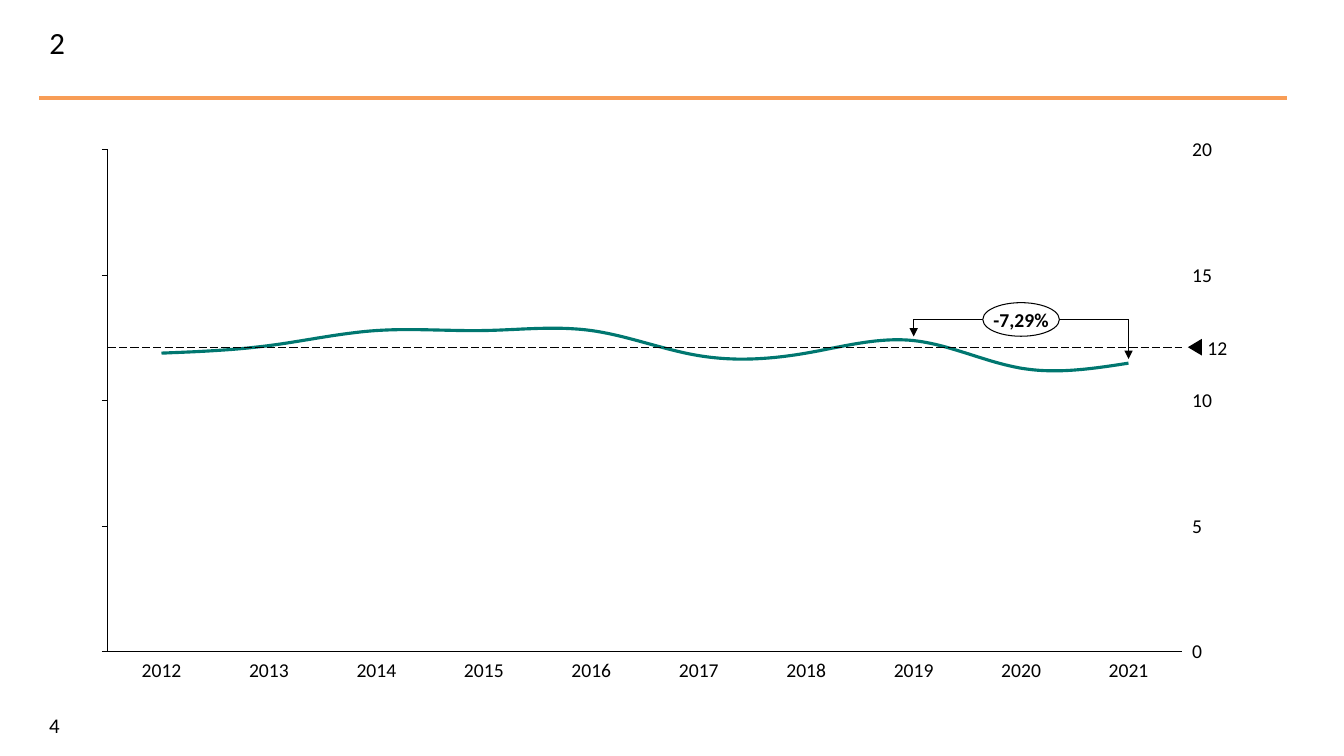
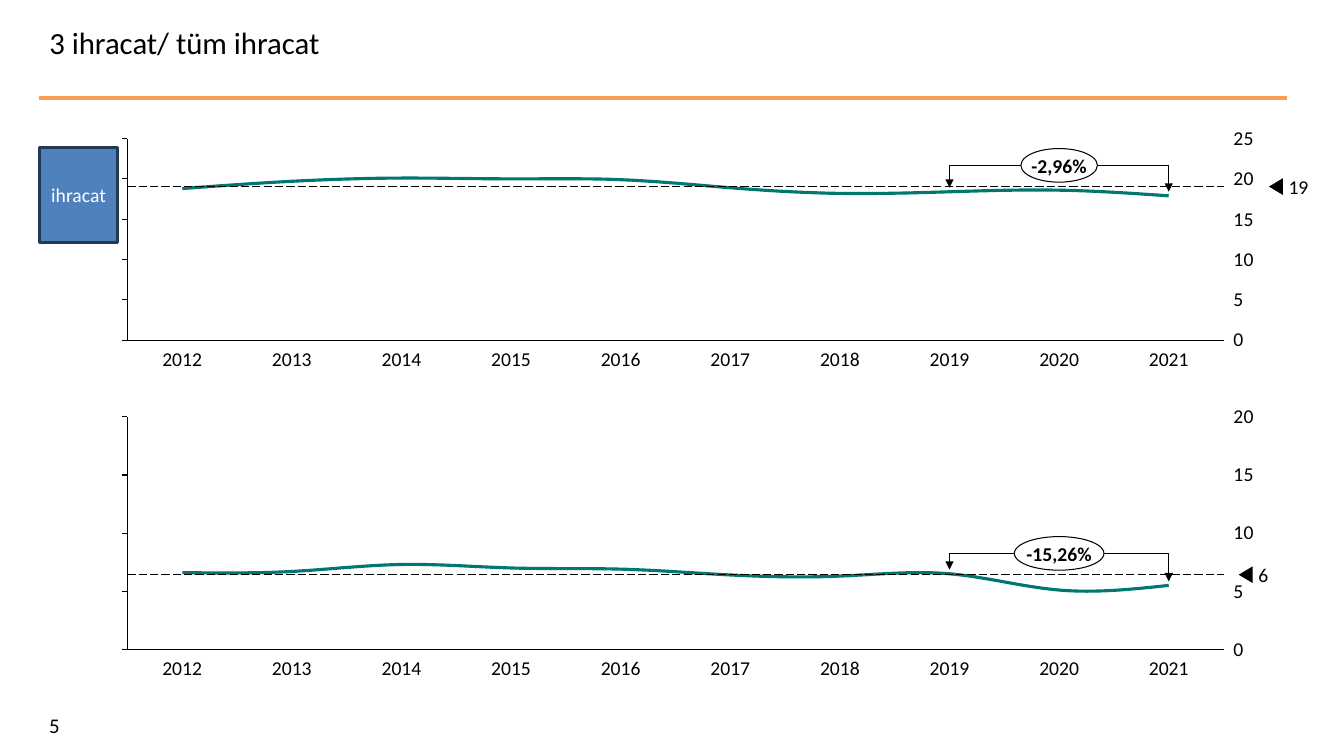
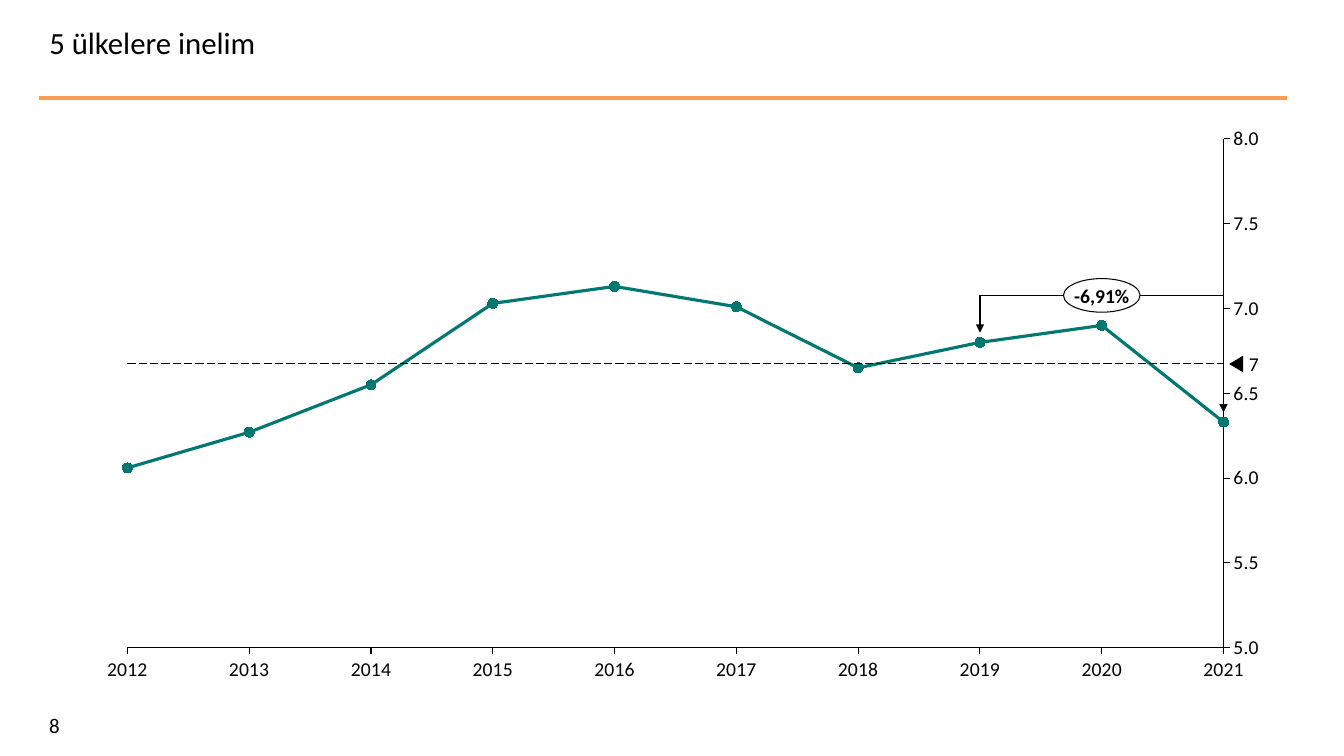
from pptx import Presentation
from pptx.chart import data as cd
from pptx.dml.color import RGBColor
from pptx.enum import chart as ch, dml, shapes as sh, text as tx
from pptx.oxml import parse_xml
from pptx.oxml.ns import nsdecls
from pptx.util import Pt

FONT = "Calibri"
BLACK, WHITE, ORANGE, TEAL = "000000", "FFFFFF", "F89D56", "007770"
BLUE, NAVY = "4F81BD", "233953"
LEFT, MID = tx.PP_ALIGN.LEFT, tx.PP_ALIGN.CENTER
TOP, HALF = tx.MSO_ANCHOR.TOP, tx.MSO_ANCHOR.MIDDLE
YEARS = range(2012, 2022)


def hue(code):
    return RGBColor.from_string(code)


def put(shape, words, size=14, color=BLACK, bold=False, align=LEFT,
        anchor=TOP, pad=(0, 0), wrap=False):
    frame = shape.text_frame
    frame.word_wrap = wrap
    frame.vertical_anchor = anchor
    frame.margin_left = frame.margin_right = Pt(pad[0])
    frame.margin_top = frame.margin_bottom = Pt(pad[1])
    para = frame.paragraphs[0]
    para.alignment = align
    run = para.add_run()
    run.text = words
    run.font.name, run.font.size, run.font.bold = FONT, Pt(size), bold
    run.font.color.rgb = hue(color)


WHOLE, TENTH = '#,##0;"-"#,##0', '#,##0.0;"-"#,##0.0'
WIDE = dict(left=91, right=874, gap=4, oval=54.7, xy=False, fmt=WHOLE,
            low=0, step=5, edge=(6.5, 16.4, 38, 16.4))
PAGES = [
    ("2", "4", [
        WIDE | dict(left=77, right=844.5, top=107.1, high=358.5, peak=20,
                    bar=228.2, change="-7,29%", mean="12",
                    vals=[11.9, 12.2, 12.8, 12.8, 12.8, 11.8, 11.9, 12.4, 11.3, 11.5])]),
    ("3 ihracat/ tüm ihracat", "5", [
        WIDE | dict(top=99, high=144, peak=25, gap=32.4,
                    bar=118.1, change="-2,96%", mean="19",
                    vals=[18.8, 19.7, 20.1, 20, 19.9, 18.9, 18.2, 18.4, 18.6, 17.9]),
        WIDE | dict(top=297.8, high=166.1, peak=20, gap=10.8, oval=64,
                    bar=395.3, change="-15,26%", mean="6",
                    vals=[6.6, 6.7, 7.3, 7, 6.9, 6.4, 6.3, 6.5, 5.1, 5.5])]),
    ("5 ülkelere inelim", "8", [
        WIDE | dict(top=99.2, high=363.5, low=5, peak=8, step=0.5, xy=True,
                    fmt=TENTH, edge=(30, 16.4, 42, 40),
                    bar=211, change="-6,91%", mean="7",
                    vals=[6.06, 6.27, 6.55, 7.03, 7.13, 7.01, 6.65, 6.8, 6.9, 6.33])]),
]

deck = Presentation()
deck.slide_width, deck.slide_height = Pt(960), Pt(540)
base = deck.slide_layouts[5]
head = base.placeholders[0]
head.left, head.top, head.width, head.height = Pt(28), Pt(13), Pt(891.4), Pt(46)

slides = [deck.slides.add_slide(base) for page in PAGES]
rule = slides[0].shapes.add_connector(
    sh.MSO_CONNECTOR.STRAIGHT, Pt(28), Pt(70), Pt(919.4), Pt(70))
rule.line.color.rgb, rule.line.width = hue(ORANGE), Pt(3)
rule.element.spPr.append(parse_xml(f'<a:effectLst {nsdecls("a")}/>'))
base.shapes.element.append(rule.element)

for slide, (title, number, plots) in zip(slides, PAGES):
    put(slide.shapes.title, title, size=22, pad=(7.2, 3.6), wrap=True)
    foot = slide.shapes.add_textbox(Pt(28), Pt(505.4), Pt(112), Pt(19.4))
    put(foot, number, size=14.9, pad=(7.2, 3.6), wrap=True)

    for p in plots:
        left, right, top, high = p["left"], p["right"], p["top"], p["high"]
        vals, wide, base_y = p["vals"], right - left, top + high
        west, north, east, south = p["edge"]
        full_w, full_h = west + wide + east, north + high + south

        if p["xy"]:
            data, kind = cd.XyChartData(), ch.XL_CHART_TYPE.XY_SCATTER_LINES
            row = data.add_series("Series 1")
            for year, val in zip(YEARS, vals):
                row.add_data_point(year, val)
            spots = [left + i * wide / 9 for i in range(10)]
        else:
            data, kind = cd.CategoryChartData(), ch.XL_CHART_TYPE.LINE
            data.categories = [str(i) for i in range(1, 11)]
            data.add_series("Series 1", vals)
            spots = [left + (i + 0.5) * wide / 10 for i in range(10)]

        chart = slide.shapes.add_chart(
            kind, Pt(left - west), Pt(top - north), Pt(full_w), Pt(full_h), data).chart
        chart.has_legend = chart.has_title = False
        chart.font.name, chart.font.size = FONT, Pt(10)
        chart.font.color.rgb = hue(BLACK)
        chart.plots[0].vary_by_categories = False
        line = chart.plots[0].series[0]
        line.smooth = not p["xy"]
        line.format.line.color.rgb, line.format.line.width = hue(TEAL), Pt(2.25)
        if p["xy"]:
            line.marker.style, line.marker.size = ch.XL_MARKER_STYLE.CIRCLE, 7
            line.marker.format.fill.solid()
            line.marker.format.fill.fore_color.rgb = hue(TEAL)
            line.marker.format.line.color.rgb = hue(TEAL)

        flat, tall = chart.category_axis, chart.value_axis
        for axis in (flat, tall):
            axis.has_major_gridlines = axis.has_title = False
            axis.major_tick_mark = ch.XL_TICK_MARK.OUTSIDE
            axis.minor_tick_mark = ch.XL_TICK_MARK.NONE
            axis.format.line.color.rgb, axis.format.line.width = hue(BLACK), Pt(0.75)
            font = axis.tick_labels.font
            font.name, font.size, font.color.rgb = FONT, Pt(14), hue(BLACK)
        flat.crosses = ch.XL_AXIS_CROSSES.MAXIMUM
        tall.crosses = ch.XL_AXIS_CROSSES.MINIMUM
        tall.minimum_scale, tall.maximum_scale = p["low"], p["peak"]
        tall.major_unit = p["step"]
        tall.tick_labels.number_format = p["fmt"]
        tall.tick_labels.number_format_is_linked = False
        area = chart.element.xpath(".//c:plotArea")[0]
        if p["xy"]:
            flat.minimum_scale, flat.maximum_scale = YEARS[0], YEARS[-1]
            flat.major_unit = 1
            flat.tick_labels.number_format = '0;"-"0'
            flat.tick_labels.number_format_is_linked = False
        else:
            flat.major_tick_mark = ch.XL_TICK_MARK.NONE
            flat.tick_label_position = ch.XL_TICK_LABEL_POSITION.NONE
            tall.tick_label_position = ch.XL_TICK_LABEL_POSITION.HIGH
            area.xpath("./c:valAx/c:axPos")[0].set("val", "r")
            for auto in area.xpath("./c:catAx/c:auto"):
                auto.set("val", "0")
            for old in area.xpath("./c:valAx/c:crossBetween"):
                old.getparent().remove(old)
            area.xpath("./c:valAx/c:crosses")[0].addnext(
                parse_xml(f'<c:crossBetween {nsdecls("c")} val="between"/>'))

        for old in area.xpath("./c:layout"):
            area.remove(old)
        box = dict(x=west / full_w, y=north / full_h, w=wide / full_w, h=high / full_h)
        area.insert(0, parse_xml(
            f'<c:layout {nsdecls("c")}><c:manualLayout><c:layoutTarget val="inner"/>'
            '<c:xMode val="edge"/><c:yMode val="edge"/>'
            + "".join(f'<c:{k} val="{v:.4f}"/>' for k, v in box.items())
            + "</c:manualLayout></c:layout>"))

        scale = high / (p["peak"] - p["low"])
        mean_y, from_y, to_y = [
            base_y - (v - p["low"]) * scale for v in (sum(vals) / 10, vals[7], vals[9])]
        from_x, to_x, bar = spots[7], spots[9], p["bar"]
        gap = 7 if p["xy"] else 3
        for x1, y1, x2, y2, thick, look in [
                (to_x, bar, to_x, to_y - gap, 1, "arrow"),
                (to_x, bar, from_x, bar, 1, "plain"),
                (from_x, bar, from_x, from_y - gap, 1, "arrow"),
                (left, mean_y, right, mean_y, 0.75, "dash")]:
            link = slide.shapes.add_connector(
                sh.MSO_CONNECTOR.STRAIGHT, Pt(x1), Pt(y1), Pt(x2), Pt(y2))
            link.line.color.rgb, link.line.width = hue(BLACK), Pt(thick)
            if look == "dash":
                link.line.dash_style = dml.MSO_LINE.LONG_DASH
            if look == "arrow":
                link.element.xpath(".//a:ln")[0].append(
                    parse_xml(f'<a:tailEnd {nsdecls("a")} type="triangle"/>'))
            link.element.spPr.append(parse_xml(f'<a:effectLst {nsdecls("a")}/>'))

        mark_x = right + p["gap"]
        mark = slide.shapes.add_shape(
            sh.MSO_SHAPE.RIGHT_ARROW, Pt(mark_x), Pt(mean_y - 6), Pt(10), Pt(12))
        mark.adjustments[0] = mark.adjustments[1] = 1
        mark.rotation = 180
        mark.shadow.inherit = False
        mark.fill.solid()
        mark.fill.fore_color.rgb = hue(BLACK)
        mark.line.fill.background()

        if not p["xy"]:
            for year, x in zip(YEARS, spots):
                tag = slide.shapes.add_textbox(
                    Pt(x - 14.75), Pt(base_y + 4.5), Pt(29.5), Pt(16.5))
                put(tag, str(year), align=MID)
        tag = slide.shapes.add_textbox(
            Pt(mark_x + 14), Pt(mean_y - 8.25), Pt(7.2 * len(p["mean"])), Pt(16.5))
        put(tag, p["mean"], anchor=HALF)

        oval = slide.shapes.add_shape(
            sh.MSO_SHAPE.OVAL, Pt((from_x + to_x - p["oval"]) / 2), Pt(bar - 12),
            Pt(p["oval"]), Pt(24))
        oval.shadow.inherit = False
        oval.fill.solid()
        oval.fill.fore_color.rgb = hue(WHITE)
        oval.line.color.rgb, oval.line.width = hue(BLACK), Pt(0.75)
        put(oval, p["change"], bold=True, align=MID, anchor=HALF)

card = slides[1].shapes.add_shape(
    sh.MSO_SHAPE.RECTANGLE, Pt(28), Pt(105.4), Pt(56.2), Pt(67.7))
card.shadow.inherit = False
card.fill.solid()
card.fill.fore_color.rgb = hue(BLUE)
card.line.color.rgb, card.line.width = hue(NAVY), Pt(2)
put(card, "ihracat", color=WHITE, align=MID, anchor=HALF)

deck.save("out.pptx")
